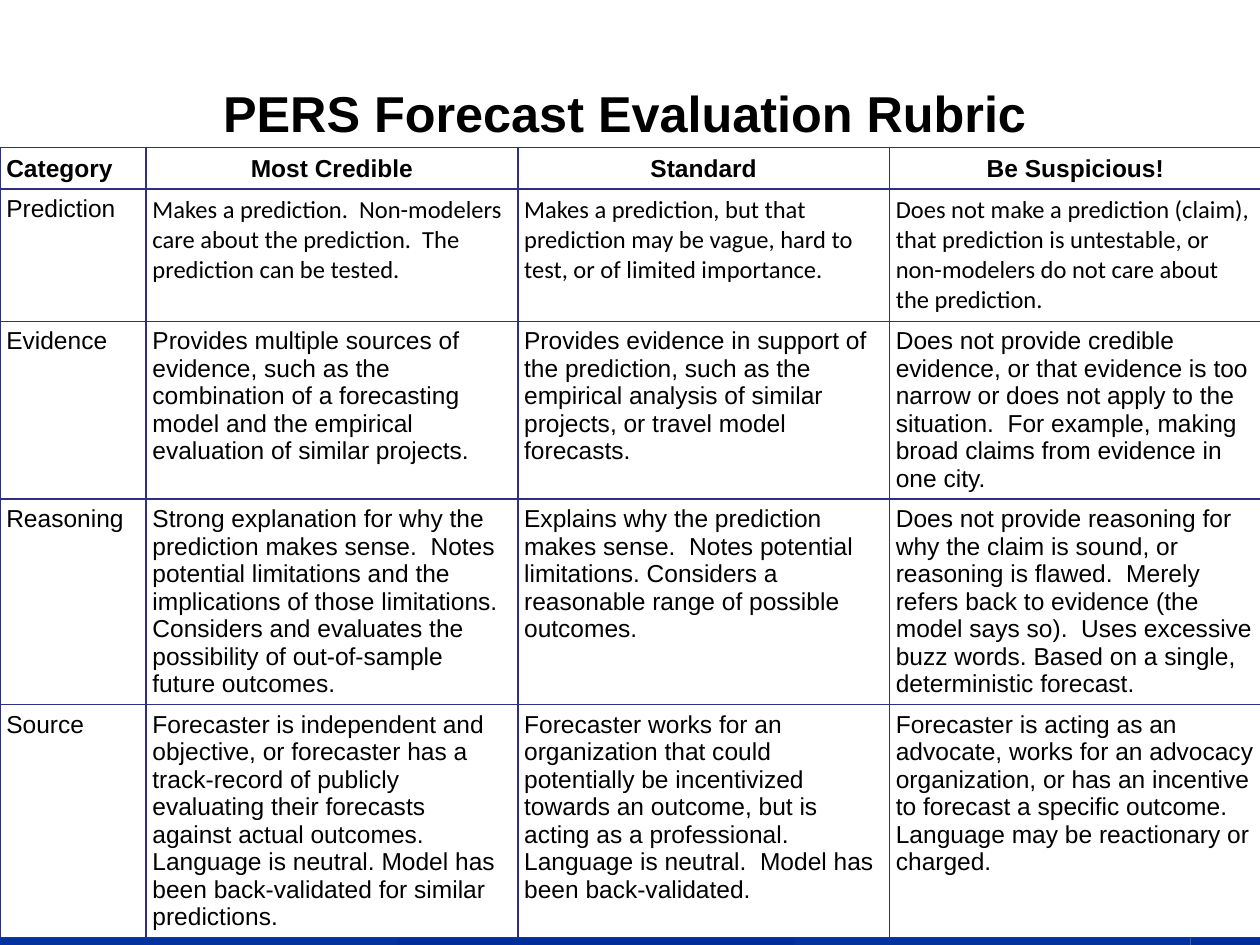
import pptx
import pptx.util
import pptx.dml.color
import pptx.enum.shapes
import pptx.enum.text
import pptx.oxml
import pptx.oxml.ns
from dataclasses import dataclass

Inches = pptx.util.Inches
Align = pptx.enum.text.PP_ALIGN
Anchor = pptx.enum.text.MSO_ANCHOR


@dataclass
class Theme:
    text: str = "000000"
    paper: str = "FFFFFF"
    border: str = "2D2D8A"
    bar_light: str = "02339E"
    bar_dark: str = "002E9C"
    font: str = "Arial"
    prediction_font: str = "Calibri"
    title_size: float = 28.8
    table_size: float = 14
    border_width: float = 1


theme = Theme()


def add_text(paragraph, text, size, bold=False, font=theme.font):
    run = paragraph.add_run()
    run.text = text
    run.font.name = font
    run.font.size = pptx.util.Pt(size)
    run.font.bold = bold
    run.font.color.rgb = pptx.dml.color.RGBColor.from_string(theme.text)


def add_borders(cell):
    properties = cell._tc.get_or_add_tcPr()
    for position, side in enumerate(("lnL", "lnR", "lnT", "lnB")):
        line = pptx.oxml.parse_xml(
            f'<a:{side} {pptx.oxml.ns.nsdecls("a")} w="{pptx.util.Pt(theme.border_width)}">'
            f'<a:solidFill><a:srgbClr val="{theme.border}"/></a:solidFill></a:{side}>'
        )
        properties.insert(position, line)


presentation = pptx.Presentation()
presentation.slide_width = Inches(10)
presentation.slide_height = Inches(7.5)
slide = presentation.slides.add_slide(presentation.slide_layouts[5])

bar_width = 3.15
bar_colors = [theme.bar_light, theme.bar_dark, theme.bar_light, theme.bar_dark]
for index, color in enumerate(bar_colors):
    left = index * bar_width
    shape = slide.shapes.add_shape(
        pptx.enum.shapes.MSO_SHAPE.RECTANGLE,
        Inches(left), Inches(7.19), Inches(min(bar_width, 10 - left)), Inches(0.31),
    )
    shape.shadow.inherit = False
    shape.fill.solid()
    shape.fill.fore_color.rgb = pptx.dml.color.RGBColor.from_string(color)
    shape.line.fill.background()

title = slide.shapes.title
title.left, title.top = Inches(0.32), Inches(0.6)
title.width, title.height = Inches(9.28), Inches(0.59)
title.text_frame.auto_size = pptx.enum.text.MSO_AUTO_SIZE.NONE
title.text_frame.vertical_anchor = Anchor.MIDDLE
title_paragraph = title.text_frame.paragraphs[0]
title_paragraph.alignment = Align.CENTER
add_text(title_paragraph, "PERS Forecast Evaluation Rubric", theme.title_size, bold=True)

rubric = [
    ["Category", "Most Credible", "Standard", "Be Suspicious!"],
    [
        "Prediction",
        "Makes a prediction.  Non-modelers care about the prediction.  The prediction can be tested.",
        "Makes a prediction, but that prediction may be vague, hard to test, or of limited importance.",
        "Does not make a prediction (claim), that prediction is untestable, or non-modelers do not care "
        "about the prediction.",
    ],
    [
        "Evidence",
        "Provides multiple sources of evidence, such as the combination of a forecasting model and the "
        "empirical evaluation of similar projects.",
        "Provides evidence in support of the prediction, such as the empirical analysis of similar "
        "projects, or travel model forecasts.",
        "Does not provide credible evidence, or that evidence is too narrow or does not apply to the "
        "situation.  For example, making broad claims from evidence in one city.",
    ],
    [
        "Reasoning",
        "Strong explanation for why the prediction makes sense.  Notes potential limitations and the "
        "implications of those limitations. Considers and evaluates the possibility of out-of-sample "
        "future outcomes.",
        "Explains why the prediction makes sense.  Notes potential limitations. Considers a reasonable "
        "range of possible outcomes.",
        "Does not provide reasoning for why the claim is sound, or reasoning is flawed.  Merely refers "
        "back to evidence (the model says so).  Uses excessive buzz words. Based on a single, "
        "deterministic forecast.",
    ],
    [
        "Source",
        "Forecaster is independent and objective, or forecaster has a track-record of publicly "
        "evaluating their forecasts against actual outcomes.  Language is neutral. Model has been "
        "back-validated for similar predictions.",
        "Forecaster works for an organization that could potentially be incentivized towards an "
        "outcome, but is acting as a professional.  Language is neutral.  Model has been back-validated.",
        "Forecaster is acting as an advocate, works for an advocacy organization, or has an incentive "
        "to forecast a specific outcome.  Language may be reactionary or charged.",
    ],
]
column_widths = [1.16] + [2.95] * 3
row_heights = [0.33, 1.05, 1.41, 1.63, 1.84]

table = slide.shapes.add_table(
    len(rubric), len(column_widths), Inches(0), Inches(1.17),
    Inches(sum(column_widths)), Inches(sum(row_heights)),
).table
table.first_row = False
table.horz_banding = False
for column, width in zip(table.columns, column_widths):
    column.width = Inches(width)

for row_index, (row, height) in enumerate(zip(table.rows, row_heights)):
    row.height = Inches(height)
    header = row_index == 0
    for column_index, cell in enumerate(row.cells):
        cell.margin_left = cell.margin_right = Inches(0.05)
        cell.margin_top = cell.margin_bottom = Inches(0.05)
        cell.vertical_anchor = Anchor.BOTTOM if header else Anchor.TOP
        cell.fill.solid()
        cell.fill.fore_color.rgb = pptx.dml.color.RGBColor.from_string(theme.paper)
        add_borders(cell)
        paragraph = cell.text_frame.paragraphs[0]
        paragraph.alignment = Align.CENTER if header and column_index else Align.LEFT
        font = theme.prediction_font if row_index == 1 and column_index else theme.font
        add_text(paragraph, rubric[row_index][column_index], theme.table_size, header, font)

presentation.save("out.pptx")
